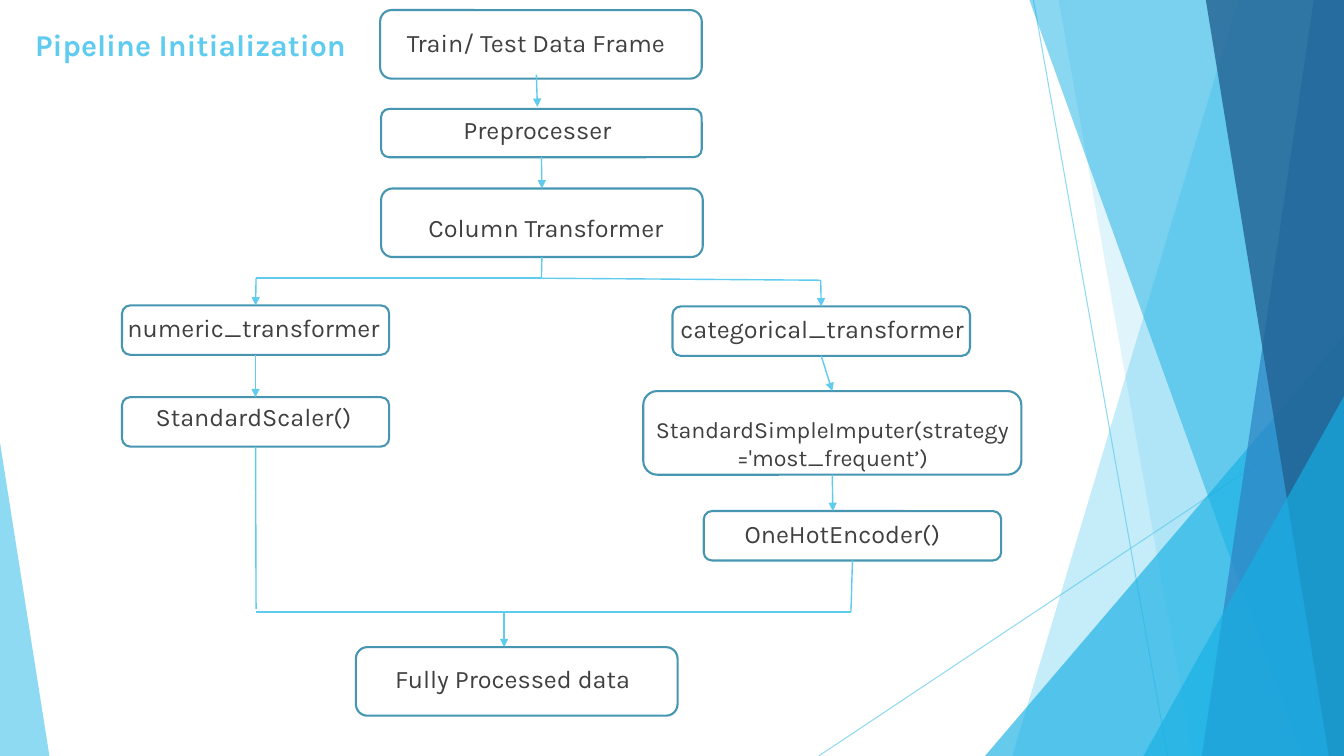
from lxml import etree
from pptx import Presentation
from pptx.dml.color import RGBColor
from pptx.enum import shapes, text
from pptx.oxml import ns
from pptx.util import Inches, Pt

SKY = RGBColor(0x5F, 0xCB, 0xEF)
CYAN = RGBColor(0x17, 0xB0, 0xE4)
BLUE = RGBColor(0x2E, 0x83, 0xC3)
NAVY = RGBColor(0x22, 0x62, 0x92)
TEAL = RGBColor(0x46, 0x96, 0xB1)
CHARCOAL = RGBColor(0x40, 0x40, 0x40)
WIDTH, HEIGHT = 13.33, 7.5
FONT = "Karla"

# name: (box, text, text shift from the box centre, size, side margin)
STEPS = {
    "frame": ((3.77, 0.1, 3.19, 0.68), "Train/ Test Data Frame", (-0.05, -0.02), 18, 0),
    "preprocessor": ((3.78, 1.08, 3.18, 0.48), "Preprocesser", (-0.04, -0.04), 18, 0),
    "columns": ((3.78, 1.87, 3.19, 0.68), "Column Transformer", (0.04, 0.05), 18, 0),
    "numeric": ((1.21, 3.03, 2.65, 0.49), "numeric_transformer", (-0.02, -0.03), 18, 0),
    "scaler": ((1.21, 3.94, 2.65, 0.49), "StandardScaler()", (-0.02, -0.05), 18, 0),
    "categorical": ((6.67, 3.04, 2.95, 0.49), "categorical_transformer", (0.01, -0.03), 18, 0),
    "imputer": ((6.38, 3.88, 3.75, 0.83),
                "StandardSimpleImputer(strategy='most_frequent’)", (0, 0.1), 16.6, 0.06),
    "encoder": ((6.98, 5.07, 2.95, 0.49), "OneHotEncoder()", (-0.1, -0.02), 18, 0),
    "result": ((3.53, 6.42, 3.19, 0.68), "Fully Processed data", (-0.04, -0.03), 18, 0),
}


def set_alpha(fill, percent):
    """Make a solid fill, of a shape or a line, partly transparent."""
    color = fill._xPr.find(".//" + ns.qn("a:srgbClr"))
    etree.SubElement(color, ns.qn("a:alpha")).set("val", str(percent * 1000))


def write_text(shape, words, size=18, color=CHARCOAL, bold=False,
               align=text.PP_ALIGN.CENTER, margin=0, shift=(0, 0)):
    frame = shape.text_frame
    frame.word_wrap = True
    frame.vertical_anchor = text.MSO_ANCHOR.MIDDLE
    across, down = shift
    frame.margin_left = Inches(margin + max(2 * across, 0))
    frame.margin_right = Inches(margin + max(-2 * across, 0))
    frame.margin_top = Inches(max(2 * down, 0))
    frame.margin_bottom = Inches(max(-2 * down, 0))
    paragraph = frame.paragraphs[0]
    paragraph.text = words
    paragraph.alignment = align
    font = paragraph.font
    font.name, font.size, font.bold = FONT, Pt(size), bold
    font.color.rgb = color


def add_line(slide, start, end, width=1, arrow=False):
    """Draw from start to end; each is a point, or a step left at its bottom or entered at its top."""
    points = [point if isinstance(point, tuple) else (0, 0) for point in (start, end)]
    line = slide.shapes.add_connector(
        shapes.MSO_CONNECTOR.STRAIGHT, *[Inches(value) for point in points for value in point])
    if not isinstance(start, tuple):
        line.begin_connect(start, 2)
    if not isinstance(end, tuple):
        line.end_connect(end, 0)
    line.line.color.rgb = SKY
    line.line.width = Pt(width)
    if arrow:
        etree.SubElement(line.line._get_or_add_ln(), ns.qn("a:tailEnd")).set("type", "triangle")
    etree.SubElement(line._element.spPr, ns.qn("a:effectLst"))
    return line


def paint_facet(shape, color, alpha):
    shape.shadow.inherit = False
    shape.fill.solid()
    shape.fill.fore_color.rgb = color
    set_alpha(shape.fill, alpha)
    shape.line.fill.background()


def add_band(slide, top_x, bottom_x, color, alpha):
    """Fill the slide from a slanting left edge to its right edge."""
    builder = slide.shapes.build_freeform(Inches(top_x), 0)
    corners = [(WIDTH, 0), (WIDTH, HEIGHT), (bottom_x, HEIGHT)]
    builder.add_line_segments([(Inches(x), Inches(y)) for x, y in corners], close=True)
    paint_facet(builder.convert_to_shape(), color, alpha)


def add_triangle(slide, box, apex, color, alpha):
    triangle = slide.shapes.add_shape(
        shapes.MSO_SHAPE.ISOSCELES_TRIANGLE, *map(Inches, box))
    triangle.adjustments[0] = apex
    paint_facet(triangle, color, alpha)


def add_backdrop(slide):
    for start, end in [((10.25, 0), (11.58, HEIGHT)), ((WIDTH, 4.03), (8.12, HEIGHT))]:
        set_alpha(add_line(slide, start, end, width=0.75).line.fill, 70)
    add_band(slide, 12.28, 10.04, SKY, 36)
    add_band(slide, 10.5, 11.83, SKY, 20)
    add_triangle(slide, (9.77, 3.33, 3.56, 4.17), 1, CYAN, 66)
    add_band(slide, 10.21, 12.91, CYAN, 50)
    add_band(slide, 13.03, 11.92, BLUE, 70)
    add_band(slide, 11.96, 13.18, NAVY, 80)
    add_triangle(slide, (11.34, 3.93, 1.99, 3.57), 1, CYAN, 66)
    add_triangle(slide, (0, 4.39, 0.49, 3.11), 0, SKY, 70)


def add_title(slide, box):
    title = slide.shapes.add_textbox(*map(Inches, box))
    write_text(title, "Pipeline Initialization", size=21.6, color=SKY, bold=True,
               align=text.PP_ALIGN.LEFT, margin=0.1)


def add_step(slide, box, words, shift, size, margin):
    step = slide.shapes.add_shape(shapes.MSO_SHAPE.ROUNDED_RECTANGLE, *map(Inches, box))
    step.shadow.inherit = False
    step.fill.background()
    step.line.color.rgb = TEAL
    step.line.width = Pt(1.5)
    write_text(step, words, size=size, margin=margin, shift=shift)
    return step


def add_flow(slide):
    steps = {name: add_step(slide, *step) for name, step in STEPS.items()}
    fork, left, right = (5.37, 2.76), (2.54, 2.76), (8.14, 2.78)
    merge_left, merge_right, merge_out = (2.54, 6.07), (8.44, 6.07), (5, 6.07)
    arrows = [
        ((5.32, 0.74), (5.33, 1.06)),
        (steps["preprocessor"], steps["columns"]),
        (left, steps["numeric"]),
        (right, steps["categorical"]),
        (steps["numeric"], steps["scaler"]),
        (steps["categorical"], steps["imputer"]),
        (steps["imputer"], (8.26, 5.07)),
        (merge_out, (5, 6.42)),
    ]
    plain_lines = [
        (steps["columns"], fork),
        (fork, left),
        (right, fork),
        (steps["scaler"], (2.54, 6.04)),
        (steps["encoder"], merge_right),
        (merge_left, merge_right),
    ]
    for start, end in arrows:
        add_line(slide, start, end, arrow=True)
    for start, end in plain_lines:
        add_line(slide, start, end)


def main():
    presentation = Presentation()
    presentation.slide_width = Inches(WIDTH)
    presentation.slide_height = Inches(HEIGHT)
    slide = presentation.slides.add_slide(presentation.slide_layouts[6])
    add_backdrop(slide)
    add_title(slide, (0.25, 0.2, 4.58, 0.49))
    add_flow(slide)
    presentation.save("out.pptx")


if __name__ == "__main__":
    main()
